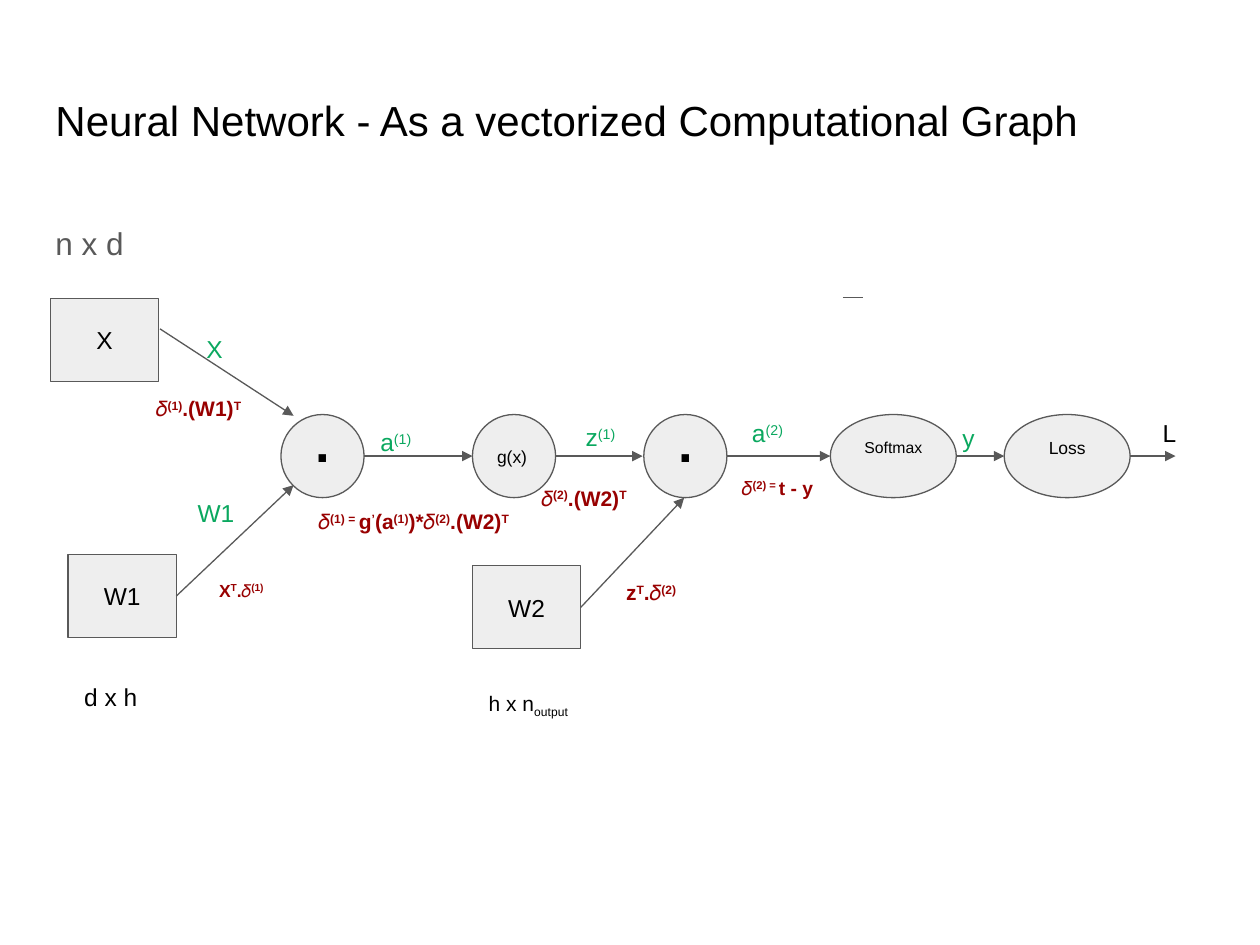
"""Build a slide with a neural network as a vectorized computational graph."""
import pptx
import pptx.dml.color
import pptx.enum.shapes
import pptx.enum.text
import pptx.oxml
import pptx.oxml.ns
import pptx.util

Kind = pptx.enum.shapes.MSO_SHAPE
Side = pptx.enum.text.PP_ALIGN
Hold = pptx.enum.text.MSO_ANCHOR
BLACK, GRAY, PALE, GREEN, RED = "000000", "595959", "EEEEEE", "0AA85F", "980000"


def paint(fill, tint):
    """Give a fill one solid colour."""
    fill.solid()
    fill.fore_color.rgb = pptx.dml.color.RGBColor.from_string(tint)


def write(shape, text, size=14, tint=BLACK, bold=False, align=Side.LEFT,
          hold=Hold.TOP, top=0.1, foot=0.1):
    """Write text split at bars, where ^ raises a part and _ lowers it."""
    frame = shape.text_frame
    frame.word_wrap = True
    frame.auto_size = pptx.enum.text.MSO_AUTO_SIZE.NONE
    frame.vertical_anchor = hold
    frame.margin_left = frame.margin_right = pptx.util.Inches(0.1)
    frame.margin_top, frame.margin_bottom = pptx.util.Inches(top), pptx.util.Inches(foot)
    para = frame.paragraphs[0]
    para.alignment = align
    para.space_before = pptx.util.Pt(0)
    for part in text.split("|"):
        run = para.add_run()
        run.text = part.lstrip("^_")
        run.font.name, run.font.size, run.font.bold = "Arial", pptx.util.Pt(size), bold
        paint(run.font.fill, tint)
        shift = {"^": "30000", "_": "-25000"}.get(part[0])
        if shift:
            run.font._element.set("baseline", shift)


deck = pptx.Presentation()
deck.slide_width, deck.slide_height = pptx.util.Inches(10), pptx.util.Inches(7.5)
cell = deck.slide_width / 100
slide = deck.slides.add_slide(deck.slide_layouts[1])

title, body = slide.placeholders
for holder, row, rows, text, size, tint in [
    (title, 6.5, 8.3, "Neural Network - As a vectorized Computational Graph", 24, BLACK),
    (body, 16.8, 49.8, "n x d", 18, GRAY),
]:
    holder.left, holder.top, holder.width, holder.height = [
        int(n * cell) for n in (3.4, row, 93.2, rows)]
    write(holder, text, size=size, tint=tint)
props = body.text_frame.paragraphs[0]._p.get_or_add_pPr()
props.set("marL", "0")
props.set("indent", "0")
props.insert_element_before(pptx.oxml.parse_xml(
    f'<a:buNone {pptx.oxml.ns.nsdecls("a")}/>'), "a:tabLst", "a:defRPr", "a:extLst")

axis, tall = 36.2, 6.6
wide = dict(top=0, foot=0.14)
dot = dict(size=30, bold=True, hold=Hold.BOTTOM)
nodes = {}
for name, kind, col, row, cols, text, form in [
    ("X", Kind.RECTANGLE, 4, 23.7, 8.6, "X", {}),
    ("W1", Kind.RECTANGLE, 5.4, 44, 8.6, "W1", {}),
    ("W2", Kind.RECTANGLE, 37.5, 44.9, 8.6, "W2", {}),
    ("dot1", Kind.OVAL, 22.3, axis - tall / 2, tall, ".", dot),
    ("gate", Kind.OVAL, 37.5, axis - tall / 2, tall, "g(x)", dict(size=10, align=Side.LEFT)),
    ("dot2", Kind.OVAL, 51.1, axis - tall / 2, tall, ".", dot),
    ("soft", Kind.OVAL, 65.9, axis - tall / 2, 10, "Softmax", dict(size=9, **wide)),
    ("loss", Kind.OVAL, 79.7, axis - tall / 2, 10, "Loss", dict(size=10, **wide)),
]:
    node = slide.shapes.add_shape(kind, *[int(n * cell) for n in (col, row, cols, tall)])
    node.shadow.inherit = False
    paint(node.fill, PALE)
    paint(node.line.fill, GRAY)
    node.line.width = pptx.util.Pt(0.75)
    write(node, text, **{"align": Side.CENTER, "hold": Hold.MIDDLE, **form})
    nodes[name] = node

for start, end, source, head in [
    ((12.7, 26.1), (23.3, 33), None, True),
    ((14, 47.3), (23.3, 38.5), "W1", True),
    ((46.1, 48.2), (54.3, 39.5), "W2", True),
    ((28.9, axis), (37.5, axis), None, True),
    ((44.1, axis), (51, axis), None, True),
    ((57.7, axis), (65.9, axis), None, True),
    ((75.9, axis), (79.7, axis), None, True),
    ((89.7, axis), (93.3, axis), None, True),
    ((66.9, 23.6), (68.5, 23.6), None, False),
]:
    link = slide.shapes.add_connector(pptx.enum.shapes.MSO_CONNECTOR.STRAIGHT,
                                      *[int(n * cell) for n in start + end])
    if source:
        link.begin_connect(nodes[source], 3)
    paint(link.line.fill, GRAY)
    link.line.width = pptx.util.Pt(0.75)
    if head:
        link.line._get_or_add_ln().append(pptx.oxml.parse_xml(
            f'<a:tailEnd {pptx.oxml.ns.nsdecls("a")} type="triangle"/>'))
    link._element.spPr.append(pptx.oxml.parse_xml(
        f'<a:effectLst {pptx.oxml.ns.nsdecls("a")}/>'))

ahead = dict(tint=GREEN)
back = dict(size=12, tint=RED, bold=True)
for col, row, cols, text, form in [
    (15.4, 25.5, 6.6, "X", ahead),
    (14.7, 38.5, 6.6, "W1", ahead),
    (29.2, 32.9, 6.6, "a|^(1)", ahead),
    (45.5, 32.5, 5, "z|^(1)", ahead),
    (58.7, 32.2, 6.6, "a|^(2)", ahead),
    (75.4, 32.6, 2.8, "y", ahead),
    (91.3, 32.2, 3.6, "L", {}),
    (11.4, 30.4, 9.3, "𝛿|^(1)|.(W1)|^T", back),
    (16.4, 45, 10.8, "X|^T|.𝛿|^(1)", {**back, "size": 10}),
    (24.3, 39.4, 20.7, "𝛿|^(1) = |g|^’|(a|^(1)|)*𝛿|^(2)|.(W2)|^T", back),
    (42, 37.5, 15, "𝛿|^(2)|.(W2)|^T", back),
    (48.7, 45, 10.8, "z|^T|.𝛿|^(2)", back),
    (57.9, 36.8, 15, "𝛿|^(2) = |t - y", {**back, "size": 11}),
    (5.7, 53.1, 8.1, "d x h", {}),
    (37.8, 53.8, 13.2, "h x n|_output", dict(size=12)),
]:
    label = slide.shapes.add_textbox(*[int(n * cell) for n in (col, row, cols, 2.4)])
    write(label, text, **form)

deck.save("out.pptx")
